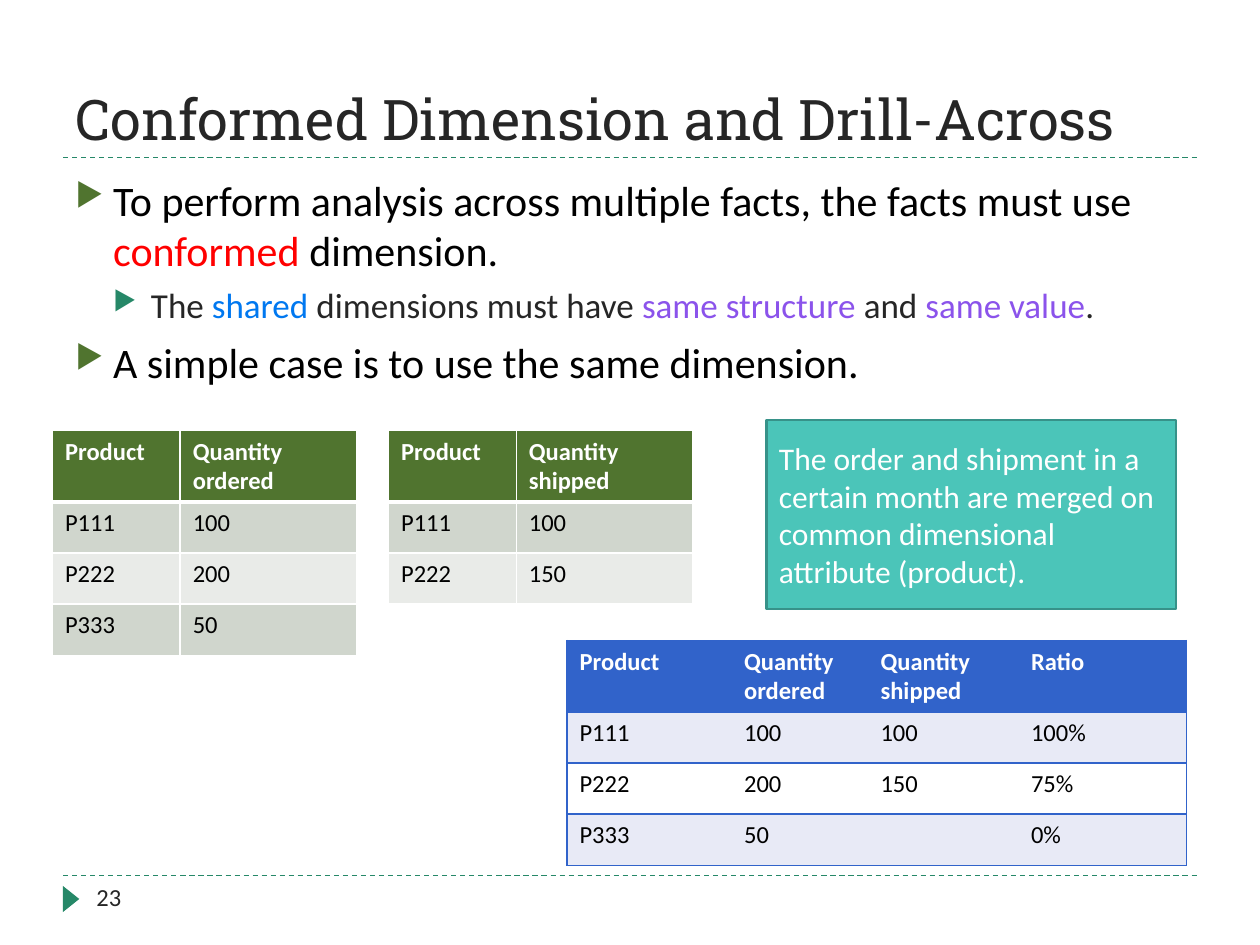
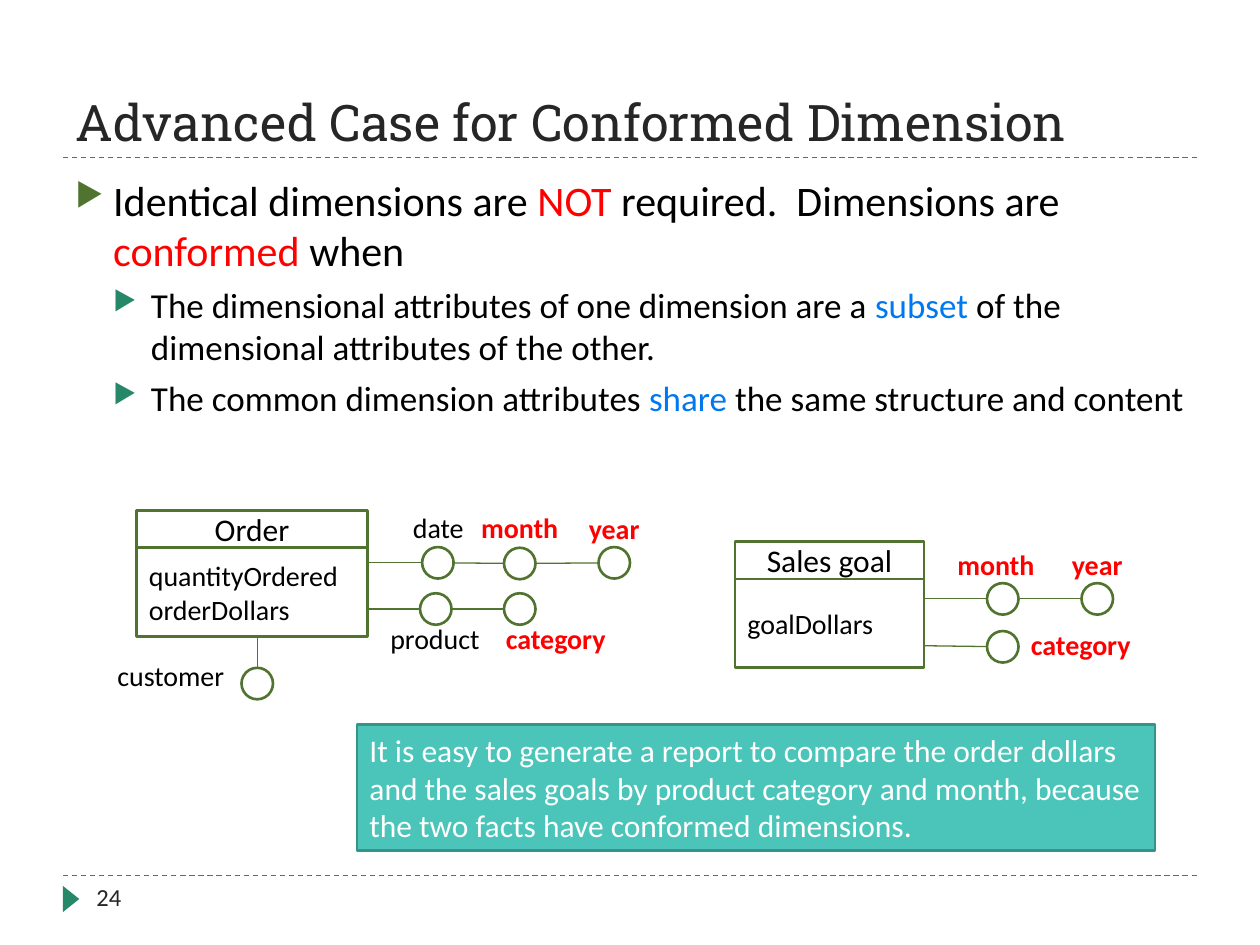
from dataclasses import dataclass
from itertools import accumulate
from lxml import etree
from pptx import Presentation
from pptx.dml.color import RGBColor
from pptx.enum.dml import MSO_LINE_DASH_STYLE as Dash
from pptx.enum.shapes import MSO_CONNECTOR as Connector, MSO_SHAPE as Shape
from pptx.enum.text import MSO_ANCHOR as Anchor, PP_ALIGN as Align
from pptx.oxml.ns import qn
from pptx.util import Pt


@dataclass(frozen=True)
class Theme:
    heading: str = "Roboto Slab"
    body: str = "Calibri"
    ink: str = "262626"
    black: str = "000000"
    white: str = "FFFFFF"
    red: str = "FF0000"
    blue: str = "0078F0"
    violet: str = "8B53EB"
    teal: str = "268868"
    olive: str = "50742F"
    note_fill: str = "4BC5B9"
    note_line: str = "379289"
    royal: str = "3163CA"
    olive_bands: tuple = ("D0D6CD", "E9EBE8")
    royal_bands: tuple = ("E8EAF6", "FFFFFF")
    level_sizes: tuple = (24, 20)
    note_size: int = 18
    label_size: int = 16
    small_size: float = 14
    hairline: float = 0.75
    outline: float = 1.5


theme = Theme()
INK, BLACK, RED, BLUE, VIOLET = theme.ink, theme.black, theme.red, theme.blue, theme.violet

PAGES = [
    {
        "title": "Conformed Dimension and Drill-Across", "title_size": 32, "number": "23",
        "body_height": 138,
        "body": [
            (0, [("To perform analysis across multiple facts, the facts must use ", BLACK),
                 ("conformed", RED), (" dimension.", BLACK)]),
            (1, [("The ", INK), ("shared", BLUE), (" dimensions must have ", INK),
                 ("same structure ", VIOLET), ("and ", INK), ("same value", VIOLET), (".", INK)]),
            (0, [("A simple case is to use the same dimension.", BLACK)]),
        ],
        "note": ("The order and shipment in a certain month are merged on common dimensional "
                 "attribute (product).", (438, 240, 234, 108)),
    },
    {
        "title": "Advanced Case for Conformed Dimension", "title_size": 28.8, "number": "24",
        "body_height": 180,
        "body": [
            (0, [("Identical dimensions are ", BLACK), ("NOT", RED),
                 (" required.  Dimensions are ", BLACK), ("conformed", RED), (" when", BLACK)]),
            (1, [("The dimensional attributes of one dimension are a ", BLACK), ("subset", BLUE),
                 (" of the dimensional attributes of the other.", BLACK)]),
            (1, [("The common dimension attributes ", BLACK), ("share", BLUE),
                 (" the same structure and content", BLACK)]),
        ],
        "note": ("It is easy to generate a report to compare the order dollars and the sales goals "
                 "by product category and month, because the two facts have conformed dimensions.",
                 (204, 414, 456, 72)),
    },
]

TABLES = [
    {"at": (30, 246), "columns": (73, 101), "style": "olive",
     "rows": [("Product", "Quantity ordered"), ("P111", "100"), ("P222", "200"), ("P333", "50")]},
    {"at": (222, 246), "columns": (73, 101), "style": "olive",
     "rows": [("Product", "Quantity shipped"), ("P111", "100"), ("P222", "150")]},
    {"at": (324, 366), "columns": (94, 78, 86, 96), "style": "royal",
     "rows": [("Product", "Quantity ordered", "Quantity shipped", "Ratio"),
              ("P111", "100", "100", "100%"), ("P222", "200", "150", "75%"),
              ("P333", "50", "", "0%")]},
]
TABLE_STYLES = {"olive": (theme.olive, theme.olive_bands), "royal": (theme.royal, theme.royal_bands)}
HEADER_HEIGHT, ROW_HEIGHT = 40.4, 29.2

FACTS = [
    {"name": "Order", "at": (78, 291.6), "width": 132,
     "measures": ["quantityOrdered", "orderDollars"]},
    {"name": "Sales goal", "at": (420, 309.4), "width": 108, "measures": ["goalDollars"]},
]
NAME_HEIGHT, MEASURES_HEIGHT, NODE = 21.4, 50.6, 18
BRANCHES = [
    ((205, 321.6), [(250.2, 321.6), (297, 322), (351, 321.6)]),
    ((204, 348), [(249, 348), (297, 348)]),
    ((147, 364), [(147, 390.6)]),
    ((528, 342.2), [(573, 342.2), (627, 342.2)]),
    ((528, 369), [(573, 369.6)]),
]
LABELS = [
    ("date", 217.5, 288, 66, False, Align.CENTER),
    ("month", 264, 288, 66, True, Align.CENTER),
    ("year", 318, 288.6, 66, True, Align.CENTER),
    ("product", 216, 351.4, 66.5, False, Align.LEFT),
    ("category", 282, 351.4, 96, True, Align.LEFT),
    ("customer", 60, 373, 78, False, Align.LEFT),
    ("month", 540, 309.6, 66, True, Align.LEFT),
    ("year", 594, 309.6, 66, True, Align.CENTER),
    ("category", 582, 355, 84, True, Align.LEFT),
]


def apply(target, values):
    for name, value in values.items():
        setattr(target, name, value)


def points(*values):
    return [Pt(value) for value in values]


def write(paragraph, text, size, color, font=theme.body, bold=False):
    run = paragraph.add_run()
    run.text = text
    apply(run.font, {"name": font, "size": Pt(size), "bold": bold})
    run.font.color.rgb = RGBColor.from_string(color)


def add_text(slide, box, text, size, color, font=theme.body, bold=False,
             anchor=Anchor.TOP, align=Align.LEFT):
    frame = slide.shapes.add_textbox(*points(*box)).text_frame
    apply(frame, {"word_wrap": True, "vertical_anchor": anchor})
    frame.paragraphs[0].alignment = align
    write(frame.paragraphs[0], text, size, color, font, bold)


def add_line(slide, start, end, color, dash=None):
    line = slide.shapes.add_connector(Connector.STRAIGHT, *points(*start, *end))
    line.line.color.rgb = RGBColor.from_string(color)
    apply(line.line, {"width": Pt(theme.hairline), "dash_style": dash})
    etree.SubElement(line._element.spPr, qn("a:effectLst"))


def add_shape(slide, kind, box, fill, outline=None, lines=(), size=theme.label_size,
              color=theme.black, align=Align.LEFT):
    shape = slide.shapes.add_shape(kind, *points(*box))
    shape.shadow.inherit = False
    shape.fill.solid()
    shape.fill.fore_color.rgb = RGBColor.from_string(fill)
    if outline:
        shape.line.color.rgb = RGBColor.from_string(outline)
        shape.line.width = Pt(theme.outline)
    else:
        shape.line.fill.background()
    frame = shape.text_frame
    apply(frame, {"word_wrap": True, "vertical_anchor": Anchor.MIDDLE})
    for index, text in enumerate(lines):
        paragraph = frame.add_paragraph() if index else frame.paragraphs[0]
        paragraph.alignment = align
        write(paragraph, text, size, color)
    return shape


def add_bullet(paragraph, level):
    paragraph.level = level
    paragraph.space_before = Pt(6 - level)
    properties = paragraph._p.get_or_add_pPr()
    properties.set("marL", str(Pt(21.6 * (level + 1))))
    properties.set("indent", str(Pt(-21.6)))
    color = etree.SubElement(properties, qn("a:buClr"))
    etree.SubElement(color, qn("a:srgbClr"), val=(theme.olive, theme.teal)[level])
    etree.SubElement(properties, qn("a:buSzPct"), val="76000")
    etree.SubElement(properties, qn("a:buChar"), char="▶")


def add_body(slide, paragraphs, height):
    frame = slide.shapes.add_textbox(*points(36, 96, 648, height)).text_frame
    frame.word_wrap = True
    for index, (level, runs) in enumerate(paragraphs):
        paragraph = frame.add_paragraph() if index else frame.paragraphs[0]
        add_bullet(paragraph, level)
        for text, color in runs:
            write(paragraph, text, theme.level_sizes[level], color)


def set_borders(cell, borders):
    properties = cell._tc.get_or_add_tcPr()
    for index, side in enumerate("LRTB"):
        color, width = borders.get(side, (None, 0))
        line = etree.Element(qn(f"a:ln{side}"), w=str(Pt(width)))
        fill = etree.SubElement(line, qn("a:solidFill" if color else "a:noFill"))
        if color:
            etree.SubElement(fill, qn("a:srgbClr"), val=color)
        properties.insert(index, line)


def cell_borders(style, row, column, last_column):
    if style == "olive":
        borders = {side: (theme.white, 1) for side in "LRTB"}
        if row < 2:
            borders["T" if row else "B"] = (theme.white, 3)
        return borders
    sides = "TB" + "L" * (column == 0) + "R" * (column == last_column)
    return {side: (theme.royal, 1) for side in sides}


def add_table(slide, at, columns, style, rows):
    header, bands = TABLE_STYLES[style]
    heights = [HEADER_HEIGHT] + [ROW_HEIGHT] * (len(rows) - 1)
    table = slide.shapes.add_table(len(rows), len(columns),
                                   *points(*at, sum(columns), sum(heights))).table
    for column, width in zip(table.columns, columns):
        column.width = Pt(width)
    for row_index, (values, height) in enumerate(zip(rows, heights)):
        table.rows[row_index].height = Pt(height)
        for column_index, text in enumerate(values):
            cell = table.cell(row_index, column_index)
            is_header = row_index == 0
            cell.fill.solid()
            fill = header if is_header else bands[(row_index - 1) % 2]
            cell.fill.fore_color.rgb = RGBColor.from_string(fill)
            set_borders(cell, cell_borders(style, row_index, column_index, len(columns) - 1))
            if text:
                write(cell.text_frame.paragraphs[0], text, theme.small_size,
                      theme.white if is_header else theme.black, bold=is_header)


def add_page(presentation, page):
    slide = presentation.slides.add_slide(presentation.slide_layouts[6])
    for y in (90, 500.4):
        add_line(slide, (36, y), (684, y), theme.teal, Dash.DASH)
    marker = add_shape(slide, Shape.ISOSCELES_TRIANGLE, (33.1, 509, 15, 9.4), theme.teal)
    marker.rotation = 90
    add_text(slide, (36, 12.2, 648, 77.8), page["title"], page["title_size"], theme.ink,
             theme.heading, anchor=Anchor.BOTTOM)
    add_text(slide, (48, 500.4, 156, 28.8), page["number"], theme.small_size, theme.ink)
    add_body(slide, page["body"], page["body_height"])
    text, box = page["note"]
    add_shape(slide, Shape.RECTANGLE, box, theme.note_fill, theme.note_line, [text],
              theme.note_size, theme.white)
    return slide


def add_facts(slide):
    for start, nodes in BRANCHES:
        for begin, end in zip([start] + nodes, nodes):
            add_line(slide, begin, end, theme.olive)
    for fact in FACTS:
        left, top = fact["at"]
        parts = [(NAME_HEIGHT, [fact["name"]], theme.note_size, Align.CENTER),
                 (MEASURES_HEIGHT, fact["measures"], theme.label_size, Align.LEFT)]
        tops = accumulate([top, NAME_HEIGHT])
        for part_top, (height, lines, size, align) in zip(tops, parts):
            add_shape(slide, Shape.RECTANGLE, (left, part_top, fact["width"], height),
                      theme.white, theme.olive, lines, size, align=align)
    for _, nodes in BRANCHES:
        for x, y in nodes:
            add_shape(slide, Shape.OVAL, (x - NODE / 2, y - NODE / 2, NODE, NODE),
                      theme.white, theme.olive)
    for text, left, top, width, shared, align in LABELS:
        add_text(slide, (left, top, width, 26.6), text, theme.label_size,
                 theme.red if shared else theme.black, bold=shared, align=align)


presentation = Presentation()
apply(presentation, {"slide_width": Pt(720), "slide_height": Pt(540)})
drill_across, advanced_case = [add_page(presentation, page) for page in PAGES]
for table in TABLES:
    add_table(drill_across, **table)
add_facts(advanced_case)
presentation.save("out.pptx")
